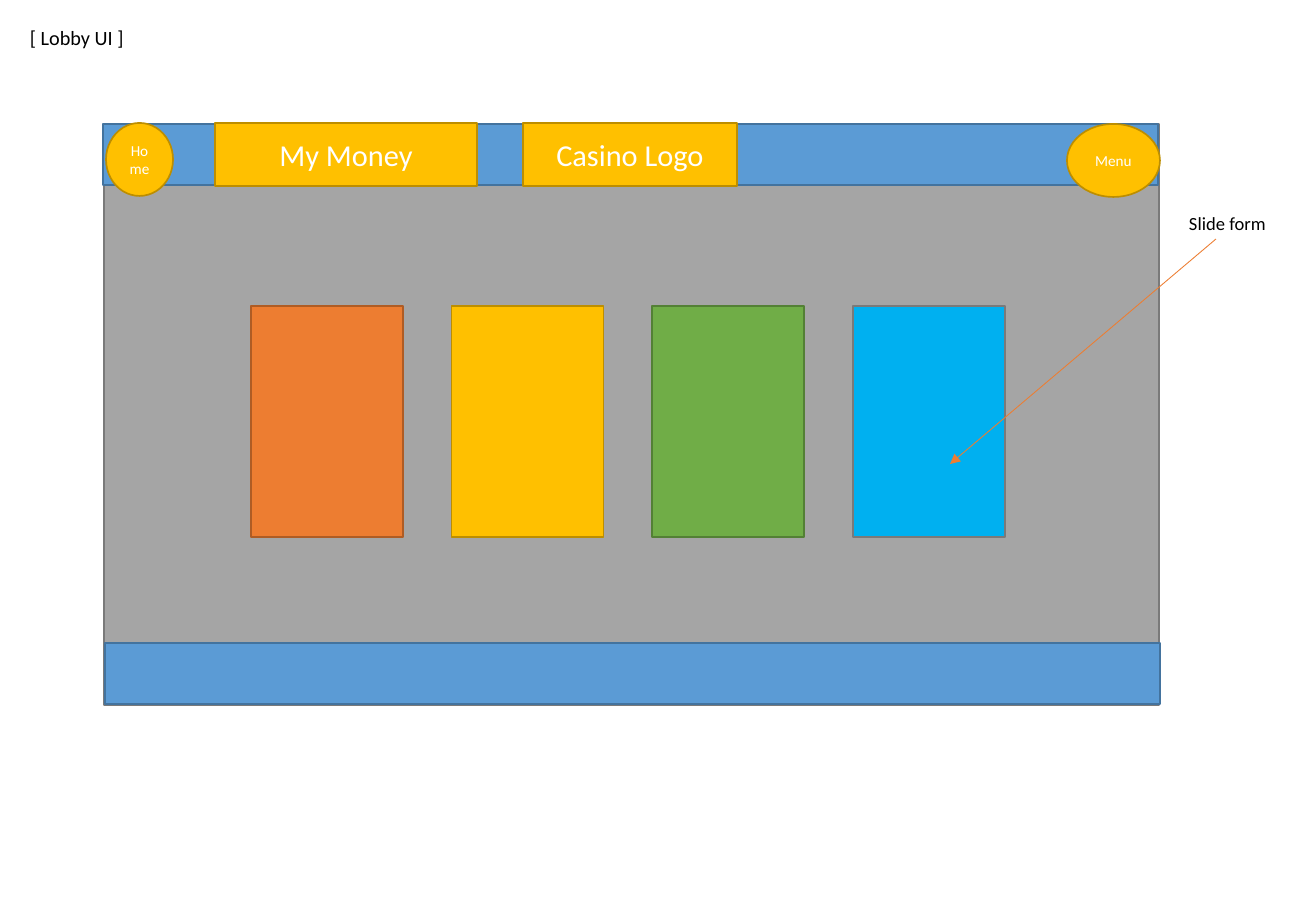
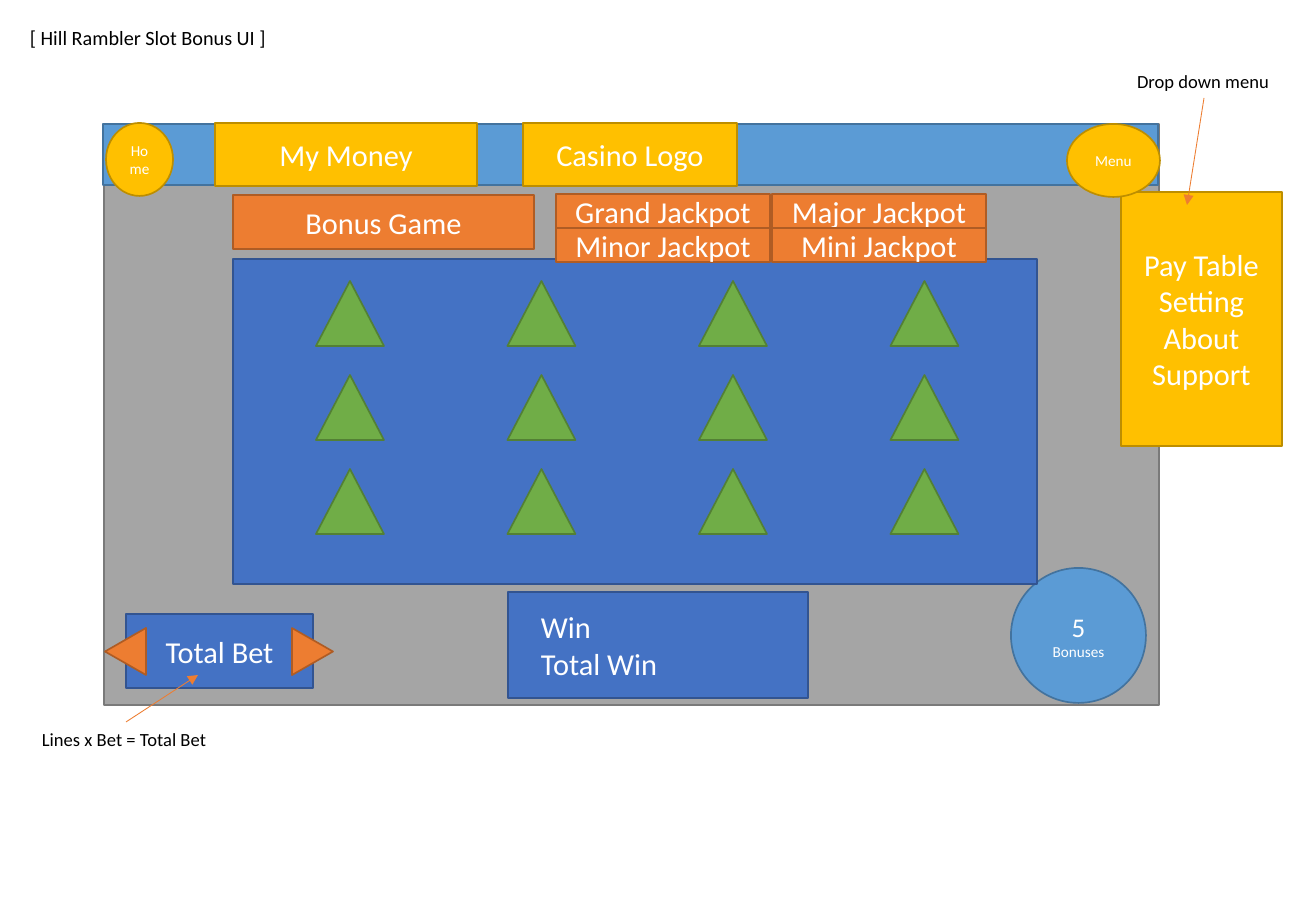
from lxml import etree
from pptx import Presentation
from pptx import util as u
from pptx.dml.color import RGBColor
from pptx.enum import shapes, text
from pptx.oxml.ns import qn

SCALE = 914400 / 121.5  # EMU per pixel
FONT = "Calibri"
COLORS = {
    "gray": "A5A5A5", "gray_edge": "7A7A7A",
    "sky": "5B9BD5", "sky_edge": "43739E",
    "gold": "FFC000", "gold_edge": "BD8E00",
    "orange": "ED7D31", "orange_edge": "AF5C24",
    "green": "70AD47", "green_edge": "538035",
    "blue": "4472C4", "blue_edge": "325491",
    "cyan": "00B0F0", "white": "FFFFFF", "black": "000000",
}
RECT = shapes.MSO_SHAPE.RECTANGLE
OVAL = shapes.MSO_SHAPE.OVAL
TRIANGLE = shapes.MSO_SHAPE.ISOSCELES_TRIANGLE
CENTER, LEFT = text.PP_ALIGN.CENTER, text.PP_ALIGN.LEFT

SCREEN = (104, 124, 1055, 581)
BAR_HEIGHT = 61


def px(value):
    return u.Emu(round(value * SCALE))


def rgb(name):
    return RGBColor.from_string(COLORS[name])


def write(frame, paragraphs, color, align):
    """Fill a text frame; each paragraph is a list of (text, size) runs."""
    frame.word_wrap = True
    for index, runs in enumerate(paragraphs):
        paragraph = frame.paragraphs[0] if index == 0 else frame.add_paragraph()
        paragraph.alignment = align
        for words, size in runs:
            run = paragraph.add_run()
            run.text = words
            run.font.size = u.Pt(size)
            run.font.name = FONT
            run.font.color.rgb = rgb(color)


def add_block(slide, box, color, paragraphs=(), kind=RECT, edge=None,
              align=CENTER, rotation=0):
    shape = slide.shapes.add_shape(kind, *map(px, box))
    shape.shadow.inherit = False
    shape.fill.solid()
    shape.fill.fore_color.rgb = rgb(color)
    shape.line.color.rgb = rgb(edge or color + "_edge")
    shape.line.width = u.Pt(1)
    shape.rotation = rotation
    if paragraphs:
        shape.text_frame.vertical_anchor = text.MSO_ANCHOR.MIDDLE
        write(shape.text_frame, paragraphs, "white", align)
    return shape


def add_label(slide, box, words, size):
    label = slide.shapes.add_textbox(*map(px, box))
    write(label.text_frame, [[(words, size)]], "black", LEFT)


def add_arrow(slide, start, end):
    arrow = slide.shapes.add_connector(
        shapes.MSO_CONNECTOR.STRAIGHT, *map(px, start + end))
    arrow.line.color.rgb = rgb("orange")
    arrow.line.width = u.Pt(0.5)
    properties = arrow._element.spPr
    etree.SubElement(properties.find(qn("a:ln")), qn("a:tailEnd"), type="triangle")
    etree.SubElement(properties, qn("a:effectLst"))


def add_note(slide, box, words, start, end):
    """A remark beside the screen, with an arrow to the part it explains."""
    add_label(slide, box, words, 11)
    add_arrow(slide, start, end)


def start_slide(presentation, title):
    slide = presentation.slides.add_slide(presentation.slide_layouts[6])
    add_block(slide, SCREEN, "gray")
    add_label(slide, (18, 19, 1248, 61), title, 12)
    return slide


def add_header(slide, box):
    left, top, width, height = box
    add_block(slide, (left - 1, top, width, BAR_HEIGHT), "sky")
    for offset, length, words in ((419, 214, "Casino Logo"), (111, 262, "My Money")):
        add_block(slide, (left + offset, top - 1, length, 63), "gold", [[(words, 18)]])
    add_block(slide, (left + width - 92, top, 93, 73), "gold", [[("Menu", 9)]], OVAL)
    add_block(slide, (left + 2, top - 1, 67, 73), "gold", [[("Home", 9)]], OVAL)


def add_game_cards(slide, box):
    left, top, width, height = box
    card_width = 152
    step = (width - card_width) / 3
    cards = (("orange", None), ("gold", None), ("green", None), ("cyan", "gray_edge"))
    for column, (color, edge) in enumerate(cards):
        add_block(slide, (left + column * step, top, card_width, height),
                  color, edge=edge)


def add_reels(slide, box):
    left, top, width, height = box
    add_block(slide, box, "blue")
    for row in range(3):
        for column in range(4):
            add_block(slide, (left + 83 + column * 191.5, top + 22 + row * 94, 68, 65),
                      "green", kind=TRIANGLE)


def add_bet_control(slide, box):
    left, top, width, height = box
    add_block(slide, box, "blue", [[("Total Bet", 18)]])
    for center, rotation in ((left, 270), (left + width, 90)):
        add_block(slide, (center - 24, top + 17, 47, 41), "orange",
                  kind=TRIANGLE, rotation=rotation)


def add_jackpots(slide, box):
    left, top, width, height = box
    names = (("Grand Jackpot", "Major Jackpot"), ("Minor Jackpot", "Mini Jackpot"))
    for row, pair in enumerate(names):
        for column, name in enumerate(pair):
            add_block(slide, (left + column * (width - 214), top + row * height / 2,
                              214, height / 2), "orange", [[(name, 18)]])


def build_lobby(presentation):
    slide = start_slide(presentation, "[ Lobby UI ]")
    left, top, width, height = SCREEN
    add_game_cards(slide, (251, 306, 754, 231))
    add_note(slide, (1177, 206, 158, 35), "Slide form", (1216, 239), (950, 464))
    # Bottom bar
    add_block(slide, (left + 1, top + height - 62, width, BAR_HEIGHT), "sky")
    add_header(slide, SCREEN)


def build_bonus_game(presentation):
    slide = start_slide(presentation, "[ Hill Rambler Slot Bonus UI ]")
    # Bonus counter and reels
    add_block(slide, (1011, 568, 135, 135), "sky", [[("5", 16)], [("Bonuses", 9)]], OVAL)
    add_reels(slide, (233, 259, 804, 325))
    add_bet_control(slide, (126, 614, 187, 74))
    # Drop-down menu
    entries = ("Pay Table", "Setting", "About", "Support")
    add_block(slide, (1121, 192, 161, 254), "gold", [[(entry, 18)] for entry in entries])
    # Notes
    add_note(slide, (1125, 64, 160, 35), "Drop down menu", (1204, 98), (1187, 205))
    add_note(slide, (30, 722, 194, 35), "Lines x Bet = Total Bet", (126, 722), (198, 675))
    # Winnings
    winnings = add_block(slide, (508, 592, 300, 106), "blue",
                         [[("Win", 18)], [("Total Win", 18)]], align=LEFT)
    winnings.text_frame.margin_left = px(33)
    add_header(slide, SCREEN)
    # Game name and jackpots
    add_block(slide, (233, 195, 301, 54), "orange", [[("Bonus Game", 18)]])
    add_jackpots(slide, (556, 194, 430, 68))


presentation = Presentation()
presentation.slide_width = px(1316)
presentation.slide_height = px(911)
build_lobby(presentation)
build_bonus_game(presentation)
presentation.save("out.pptx")
